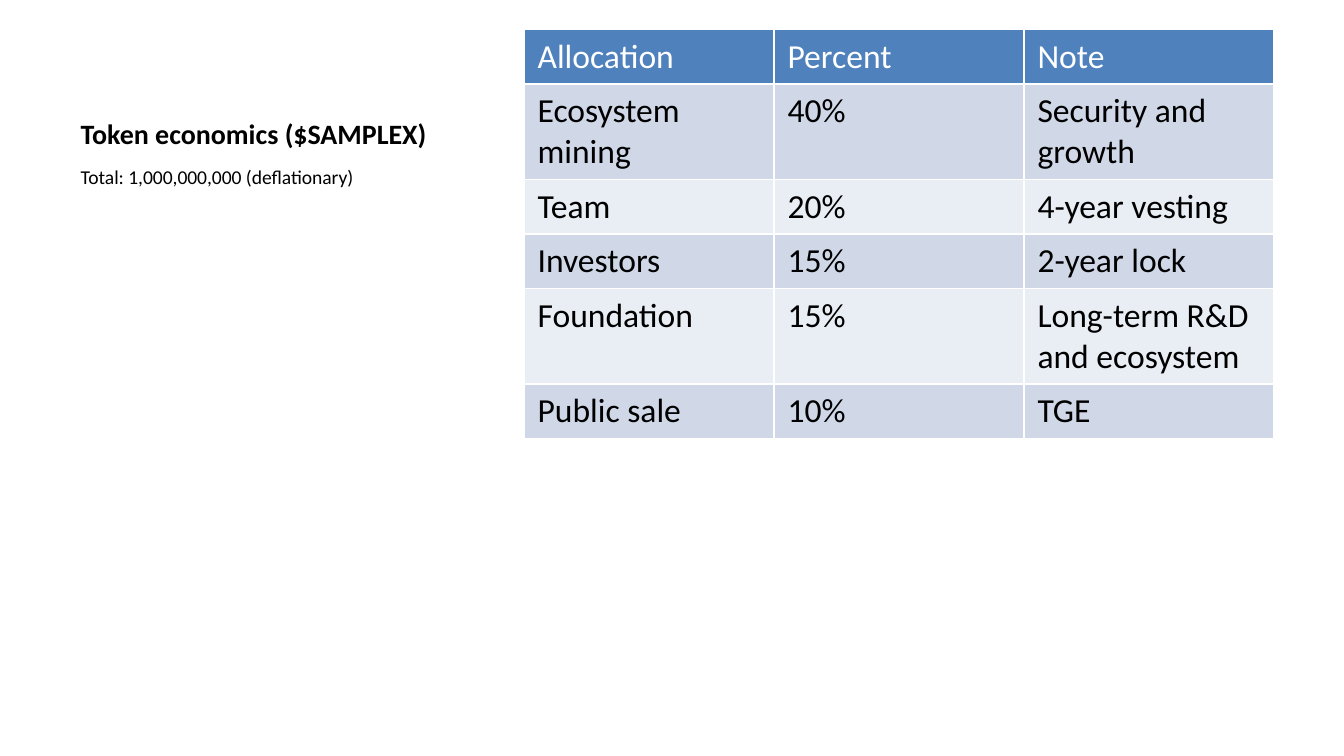
from pptx import Presentation
from pptx.dml.color import RGBColor
from pptx.enum import text
from pptx.util import Inches, Pt

TITLE = "Token economics ($SAMPLEX)"
TOTAL = "Total: 1,000,000,000 (deflationary)"
ROWS = [
    ("Allocation", "Percent", "Note"),
    ("Ecosystem mining", "40%", "Security and growth"),
    ("Team", "20%", "4-year vesting"),
    ("Investors", "15%", "2-year lock"),
    ("Foundation", "15%", "Long-term R&D and ecosystem"),
    ("Public sale", "10%", "TGE"),
]
HEADER, BANDS = "4F81BD", ("E9EDF4", "D0D8E8")
TABLE_BOX = (3.9, 0.22, 5.58, 4.79)


def rgb(value):
    return RGBColor.from_string(value)


def write(tf, content, size, color="000000", bold=False):
    r = tf.paragraphs[0].add_run()
    r.text = content
    r.font.color.rgb = rgb(color)
    for name, value in {"name": "Calibri", "size": Pt(size), "bold": bold}.items():
        setattr(r.font, name, value)


def place(sp, left, top, width, height):
    box = {"left": left, "top": top, "width": width, "height": height}
    for name, value in box.items():
        setattr(sp, name, Inches(value))


prs = Presentation()
prs.slide_width = Inches(10)
prs.slide_height = prs.slide_width * 9 // 16
s = prs.slides.add_slide(prs.slide_layouts.get_by_name("Content with Caption"))
title, content, caption = s.placeholders
content.element.getparent().remove(content.element)

place(title, 0.5, 0.22, 3.29, 0.95)
title.text_frame.vertical_anchor = text.MSO_ANCHOR.BOTTOM
write(title.text_frame, TITLE, 15, bold=True)

place(caption, 0.5, 1.18, 3.29, 3.85)
write(caption.text_frame, TOTAL, 10.5)

frame = s.shapes.add_table(len(ROWS), len(ROWS[0]), *map(Inches, TABLE_BOX))
table = frame.table
for i, row in enumerate(ROWS):
    table.rows[i].height = 0  # each row grows to fit its text
    for j, value in enumerate(row):
        cell = table.cell(i, j)
        cell.fill.solid()
        cell.fill.fore_color.rgb = rgb(BANDS[i % 2] if i else HEADER)
        write(cell.text_frame, value, 18, "000000" if i else "FFFFFF")
place(frame, *TABLE_BOX)

prs.save("out.pptx")
